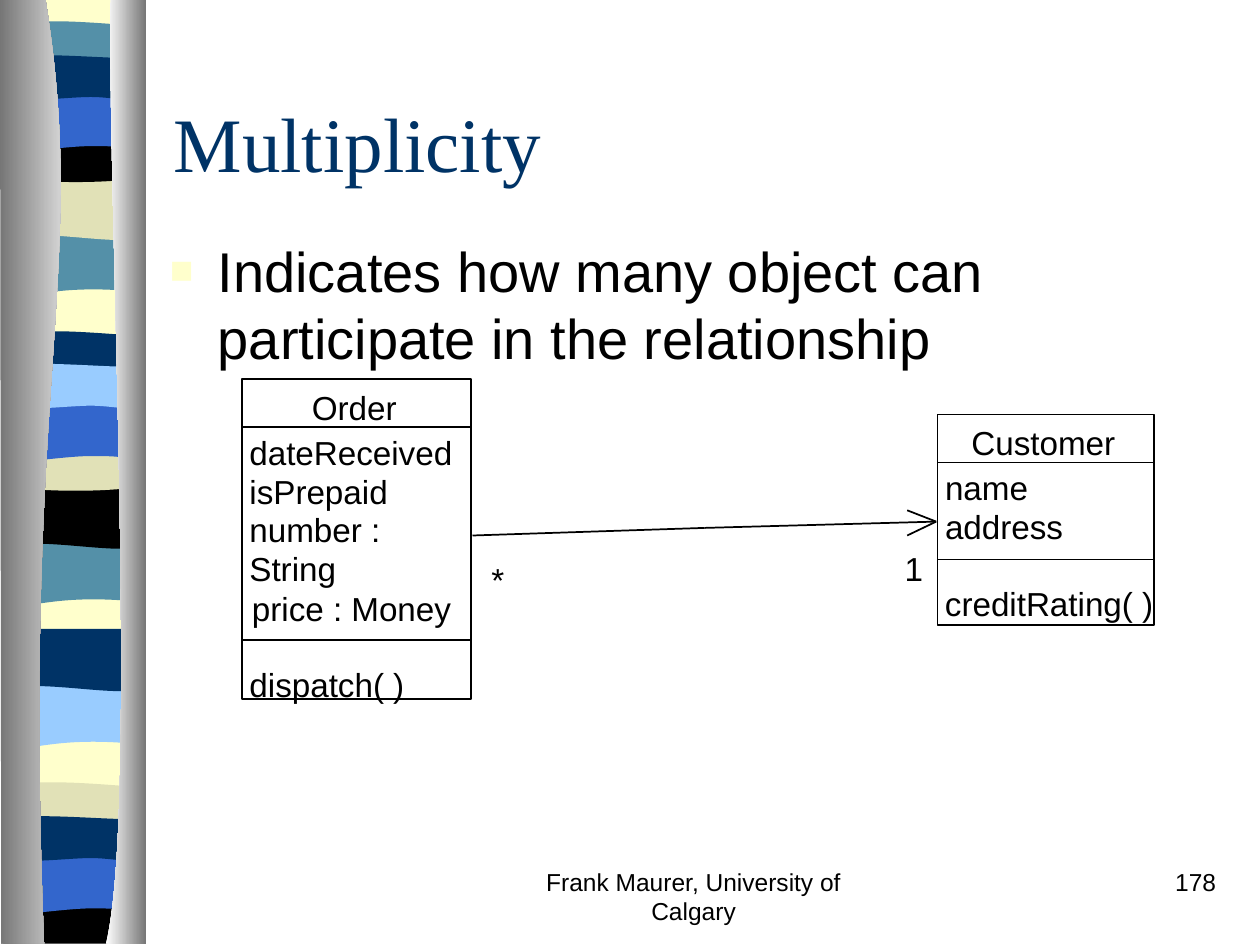
from lxml.etree import SubElement
from pptx import Presentation
from pptx.dml.color import RGBColor
from pptx.enum.shapes import MSO_CONNECTOR as Connector, MSO_SHAPE as Shape
from pptx.enum.text import MSO_ANCHOR as Anchor, PP_ALIGN as Align
from pptx.oxml.ns import qn
from pptx.util import Inches, Pt

BLACK, NAVY, CREAM = "000000", "003366", "FFFFCC"
TEAL, SAND, BLUE, SKY = "5490A8", "E1E1B7", "3366CC", "99CCFF"
GREY, WHITE = "767676", "FFFFFF"

WAVE = [(1.14, 0), (1.14, 0.47), (0.39, 0.39, 0.24, 0.55, 0.06, 0.47), (0.06, 0)]
SWELL = [(1.14, 0), (1.14, 0.47), (0.96, 0.55, 0.39, 0.41, 0.06, 0.47), (0.06, 0)]
THIN = [(1.14, 0), (1.14, 0.24), (0.96, 0.28, 0.24, 0.28, 0.06, 0.24), (0.06, 0),
        (0.12, -0.05, 0.29, -0.04, 0.47, -0.04), (0.65, -0.04, 1, -0.01, 1.14, 0)]
SAG = [(1.14, 0), (1.14, 0.32), (0.96, 0.38, 0.24, 0.38, 0.06, 0.32), (0.06, 0),
       (0.72, 0.05, 0.91, 0, 1.14, 0)]
ARCH = [(1.14, 0), (1.14, 0.47), (0.97, 0.42, 0.9, 0.42, 0.72, 0.42),
        (0.54, 0.42, 0.22, 0.47, 0.06, 0.47), (0.06, 0)]
RIPPLE = [(1.14, 0), (1.14, 0.31), (1.07, 0.36, 0.9, 0.31, 0.72, 0.31),
          (0.54, 0.31, 0.17, 0.36, 0.06, 0.31), (0.06, 0),
          (0.21, -0.05, 0.79, 0, 0.97, 0), (1.15, 0, 1.1, 0, 1.14, 0)]
FLOOR = [(1.14, 0), (1.14, 0.37), (0.06, 0.37), (0.06, 0), (0.72, 0.05, 0.91, 0, 1.14, 0)]
BACKDROP = [(1.14, -0.01), (1.14, 7.47), (0.06, 7.47), (0.06, -0.01)]
BANDS = [
    (BACKDROP, 0, CREAM), (WAVE, 1.85, TEAL), (SWELL, 1.41, SAND), (THIN, 0.21, TEAL),
    (SAG, 1.08, BLACK), (ARCH, 0.74, BLUE), (RIPPLE, 0.46, NAVY),
    (WAVE, 4.31, TEAL), (SWELL, 3.86, BLACK), (THIN, 2.67, NAVY), (SAG, 3.53, SAND),
    (ARCH, 3.2, BLUE), (RIPPLE, 2.91, SKY), (WAVE, 5.44, SKY), (SWELL, 4.99, NAVY),
    (THIN, 6.25, SAND), (FLOOR, 7.12, BLACK), (ARCH, 6.79, BLUE), (RIPPLE, 6.5, NAVY),
]
LEFT_PILLAR = [(0.36, -0.01), (0.71, 2.16, 0.17, 2.96, 0.35, 7.49), (0.01, 7.49), (0, -0.01)]
RIGHT_PILLAR = [(0.88, -0.01), (0.84, 1.25, 1.11, 6.46, 0.84, 7.49), (1.16, 7.49), (1.16, 0)]

ORDER_ROWS = [(0.06, 0.42, "dateReceived", 1.61), (0.06, 0.73, "isPrepaid", 1.1),
              (0.06, 1.03, "number :", 1.11), (0.06, 1.34, "String", 0.69),
              (0.08, 1.66, "price : Money", 1.58), (0.06, 2.26, "dispatch( )", 1.23)]
CUSTOMER_ROWS = [(0.06, 0.42, "name", 0.66), (0.06, 0.73, "address", 0.94),
                 (0.06, 1.34, "creditRating( )", 1.65)]


def color(value):
    """Turn a hex string into a colour."""
    return RGBColor.from_string(value)


class SlideBuilder:
    """Hold the text styles and the current slide."""

    title = {"name": "Times New Roman", "size": Pt(44), "color": NAVY}
    body = {"name": "Arial", "size": Pt(32), "color": BLACK}
    label = {"name": "Arial", "size": Pt(19), "color": BLACK}
    footer = {"name": "Arial", "size": Pt(14), "color": BLACK}

    def __init__(self, presentation):
        """Add a blank slide."""
        self.slide = presentation.slides.add_slide(presentation.slide_layouts[6])
        self.shapes = self.slide.shapes

    def outline(self, nodes, top, *colors):
        """Draw a closed outline with one colour or a left-to-right gradient."""
        points = [(Inches(x), Inches(y + top)) for node in nodes
                  for x, y in zip(node[::2], node[1::2])]
        builder = self.shapes.build_freeform(*points[0])
        builder.add_line_segments(points[1:], close=True)
        shape = builder.convert_to_shape()
        self.bend(shape, nodes)
        shape.shadow.inherit = False
        shape.line.fill.background()
        if len(colors) == 1:
            shape.fill.solid()
            shape.fill.fore_color.rgb = color(colors[0])
        else:
            shape.fill.gradient()
            shape.fill.gradient_angle = 0
            for stop, value in zip(shape.fill.gradient_stops, colors):
                stop.color.rgb = color(value)

    def bend(self, shape, nodes):
        """Join the segments of each six-number node into one cubic curve."""
        segments = iter(list(shape._element.iter(qn("a:lnTo"))))
        for node in nodes[1:]:
            segment = next(segments)
            if len(node) == 6:
                segment.tag = qn("a:cubicBezTo")
                for _ in range(2):
                    extra = next(segments)
                    segment.append(extra[0])
                    extra.getparent().remove(extra)

    def text(self, content, box, style, align=Align.LEFT, anchor=Anchor.TOP, bullet=None):
        """Write one wrapped paragraph in a box."""
        frame = self.shapes.add_textbox(*map(Inches, box)).text_frame
        frame.word_wrap = True
        frame.vertical_anchor = anchor
        paragraph = frame.paragraphs[0]
        paragraph.text = content
        paragraph.alignment = align
        if bullet:
            self.bullet(paragraph, bullet)
        for name, value in style.items():
            if name == "color":
                paragraph.font.color.rgb = color(value)
            else:
                setattr(paragraph.font, name, value)
        return frame

    def bullet(self, paragraph, value):
        """Give a paragraph a small square bullet and a hanging indent."""
        properties = paragraph._p.get_or_add_pPr()
        properties.set("marL", str(Inches(0.38)))
        properties.set("indent", str(-Inches(0.38)))
        fill = SubElement(properties, qn("a:buClr"))
        SubElement(fill, qn("a:srgbClr"), val=value)
        SubElement(properties, qn("a:buSzPct"), val="70000")
        SubElement(properties, qn("a:buFont"), typeface="Arial")
        SubElement(properties, qn("a:buChar"), char="■")

    def tag(self, content, left, top, width):
        """Write a short label without margins, with a little room to spare."""
        frame = self.text(content, (left, top, width + 0.05, 0.32), self.label)
        for side in ("left", "top", "right", "bottom"):
            setattr(frame, f"margin_{side}", 0)

    def line(self, start, end):
        """Draw a thin black line."""
        connector = self.shapes.add_connector(Connector.STRAIGHT, *map(Inches, start + end))
        connector.line.width = Pt(1)
        connector.line.color.rgb = color(BLACK)
        SubElement(connector._element.spPr, qn("a:effectLst"))

    def class_box(self, box, name, name_width, rows, divider):
        """Draw a class with its name, attributes and operations."""
        left, top, width, _ = box
        shape = self.shapes.add_shape(Shape.RECTANGLE, *map(Inches, box))
        shape.shadow.inherit = False
        shape.fill.background()
        shape.line.color.rgb = color(BLACK)
        shape.line.width = Pt(1)
        self.tag(name, left + (width - name_width) / 2 - 0.02, top + 0.06, name_width)
        for offset in (0.38, divider):
            self.line((left, top + offset), (left + width, top + offset))
        for indent, offset, content, row_width in rows:
            self.tag(content, left + indent, top + offset, row_width)


def main():
    """Build and save the multiplicity slide."""
    presentation = Presentation()
    presentation.slide_width, presentation.slide_height = Inches(10), Inches(7.5)
    builder = SlideBuilder(presentation)

    for nodes, top, value in BANDS:
        builder.outline(nodes, top, value)
    builder.outline(LEFT_PILLAR, 0, GREY, WHITE)
    builder.outline(RIGHT_PILLAR, 0, WHITE, GREY)

    builder.text("Multiplicity", (1.28, 0.5, 8.5, 1.25), builder.title, anchor=Anchor.MIDDLE)
    builder.text("Indicates how many object can participate in the relationship",
                 (1.25, 1.83, 8.5, 4.5), builder.body, bullet=CREAM)

    builder.class_box((1.92, 3.01, 1.82, 2.54), "Order", 0.67, ORDER_ROWS, 2.07)
    builder.class_box((7.44, 3.29, 1.72, 1.67), "Customer", 1.14, CUSTOMER_ROWS, 1.15)

    tip, middle = (7.43, 4.14), (5.59, 4.19)
    for start, end in ((middle, tip), (tip, (7.2, 4.25)), (tip, (7.2, 4.05)),
                       (middle, (3.75, 4.25))):
        builder.line(start, end)
    builder.tag("*", 3.9, 4.44, 0.1)
    builder.tag("1", 7.18, 4.35, 0.15)

    builder.text("Frank Maurer, University of Calgary", (3.92, 6.83, 3.17, 0.5),
                 builder.footer, align=Align.CENTER)
    builder.text("178", (7.67, 6.83, 2.08, 0.5), builder.footer, align=Align.RIGHT)
    presentation.save("out.pptx")


if __name__ == "__main__":
    main()
